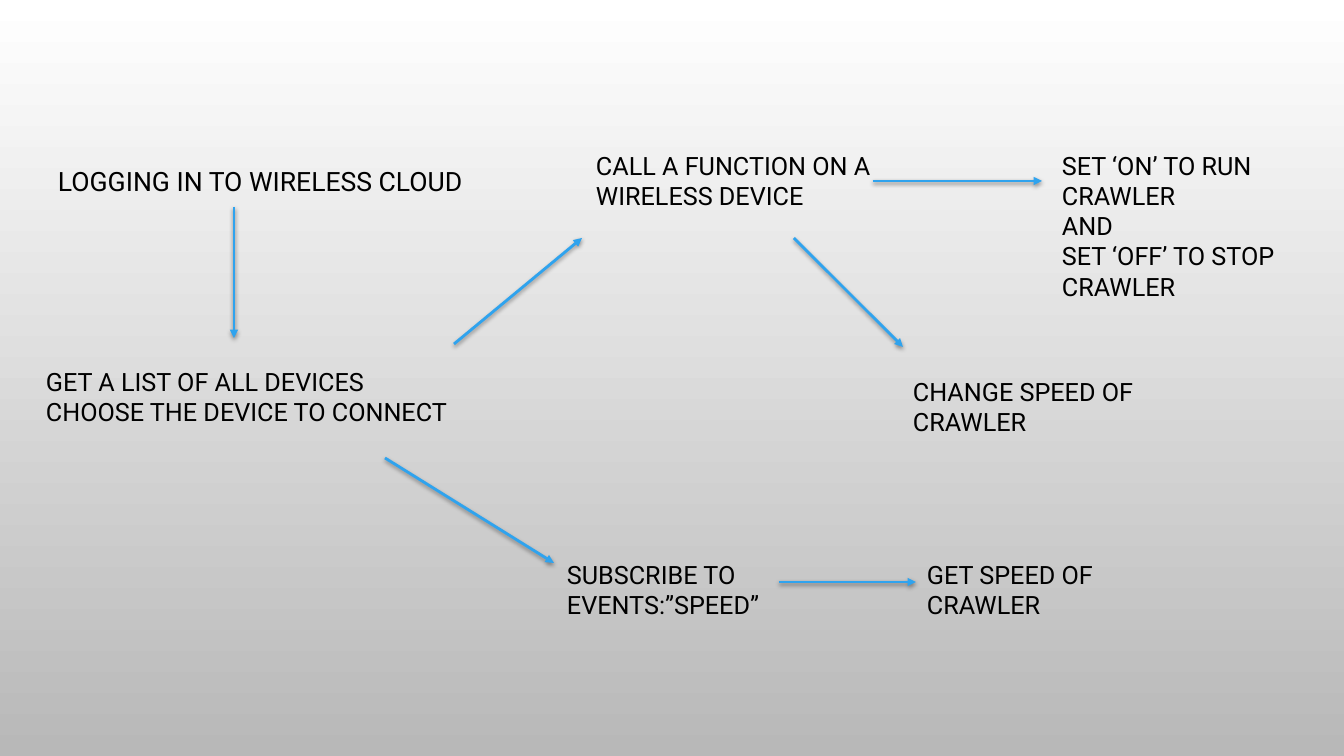
from dataclasses import dataclass

from lxml.etree import SubElement
from pptx import Presentation
from pptx.dml.color import RGBColor as Rgb
from pptx.enum.shapes import MSO_CONNECTOR as Link
from pptx.enum.text import MSO_AUTO_SIZE as Fit
from pptx.oxml.ns import qn
from pptx.util import Emu, Pt


@dataclass(frozen=True)
class Theme:
    font: str = "Roboto"
    ink: str = "000000"
    line: str = "2FA3EE"
    low: str = "B8B8B8"
    high: str = "FFFFFF"
    body: int = 18
    lead: int = 19
    weight: int = 2


THEME = Theme()
WIDE, HIGH = 1344, 756
NOTE_W, NOTE_H = 287, 72


def px(n):
    return Emu(round(n * 914400 / 100.8))


def color(code):
    return Rgb.from_string(code)


def note(slide, x, y, text, w=NOTE_W, h=NOTE_H, size=THEME.body, wrap=True):
    frame = slide.shapes.add_textbox(px(x), px(y), px(w), px(h)).text_frame
    frame.margin_left = frame.margin_right = px(5)
    frame.margin_top = frame.margin_bottom = px(5)
    frame.word_wrap = wrap
    frame.auto_size = Fit.SHAPE_TO_FIT_TEXT
    frame.text = text
    for para in frame.paragraphs:
        font = para.runs[0].font
        font.name = THEME.font
        font.size = Pt(size)
        font.color.rgb = color(THEME.ink)


def arrow(slide, x, y, dx, dy):
    link = slide.shapes.add_connector(
        Link.STRAIGHT, px(x), px(y), px(x + dx), px(y + dy))
    link.line.color.rgb = color(THEME.line)
    link.line.width = Pt(THEME.weight)
    props = link._element.spPr
    SubElement(props.find(qn("a:ln")), qn("a:tailEnd"), type="triangle")
    effect = SubElement(props, qn("a:effectLst"))
    shade = SubElement(effect, qn("a:outerShdw"), blurRad=str(Pt(3)),
                       dist=str(Pt(1.6)), dir="5400000", rotWithShape="0")
    black = SubElement(shade, qn("a:srgbClr"), val=THEME.ink)
    SubElement(black, qn("a:alpha"), val="38000")


def backdrop(slide):
    fill = slide.background.fill
    fill.gradient()
    fill.gradient_angle = 90
    for stop, code, place in zip(fill.gradient_stops, (THEME.low, THEME.high), (0, 1)):
        stop.color.rgb = color(code)
        stop.position = place


def login(slide, x, y):
    note(slide, x, y, "LOGGING IN TO WIRELESS CLOUD",
         w=449, h=42, size=THEME.lead, wrap=False)
    arrow(slide, x + 181, y + 47, 0, 131)


def devices(slide, x, y):
    note(slide, x, y, "GET A LIST OF ALL DEVICES\nCHOOSE THE DEVICE TO CONNECT",
         w=452, wrap=False)
    arrow(slide, x + 413, y - 17, 128, -106)
    arrow(slide, x + 344, y + 97, 169, 105)


def calls(slide, x, y):
    note(slide, x, y, "CALL A FUNCTION ON A WIRELESS DEVICE")
    arrow(slide, x + 282, y + 36, 169, 0)
    arrow(slide, x + 203, y + 93, 109, 109)
    note(slide, x + 466, y,
         "SET ‘ON’ TO RUN CRAWLER\nAND\nSET ‘OFF’ TO STOP CRAWLER", h=164)
    note(slide, x + 317, y + 226, "CHANGE SPEED OF CRAWLER")


def events(slide, x, y):
    note(slide, x, y, "SUBSCRIBE TO EVENTS:”SPEED”")
    arrow(slide, x + 217, y + 28, 137, 0)
    note(slide, x + 360, y, "GET SPEED OF CRAWLER")


def main():
    deck = Presentation()
    deck.slide_width, deck.slide_height = px(WIDE), px(HIGH)
    slide = deck.slides.add_slide(deck.slide_layouts.get_by_name("Blank"))
    backdrop(slide)
    login(slide, 53, 160)
    devices(slide, 41, 361)
    calls(slide, 591, 145)
    events(slide, 562, 554)
    deck.save("out.pptx")


if __name__ == "__main__":
    main()
